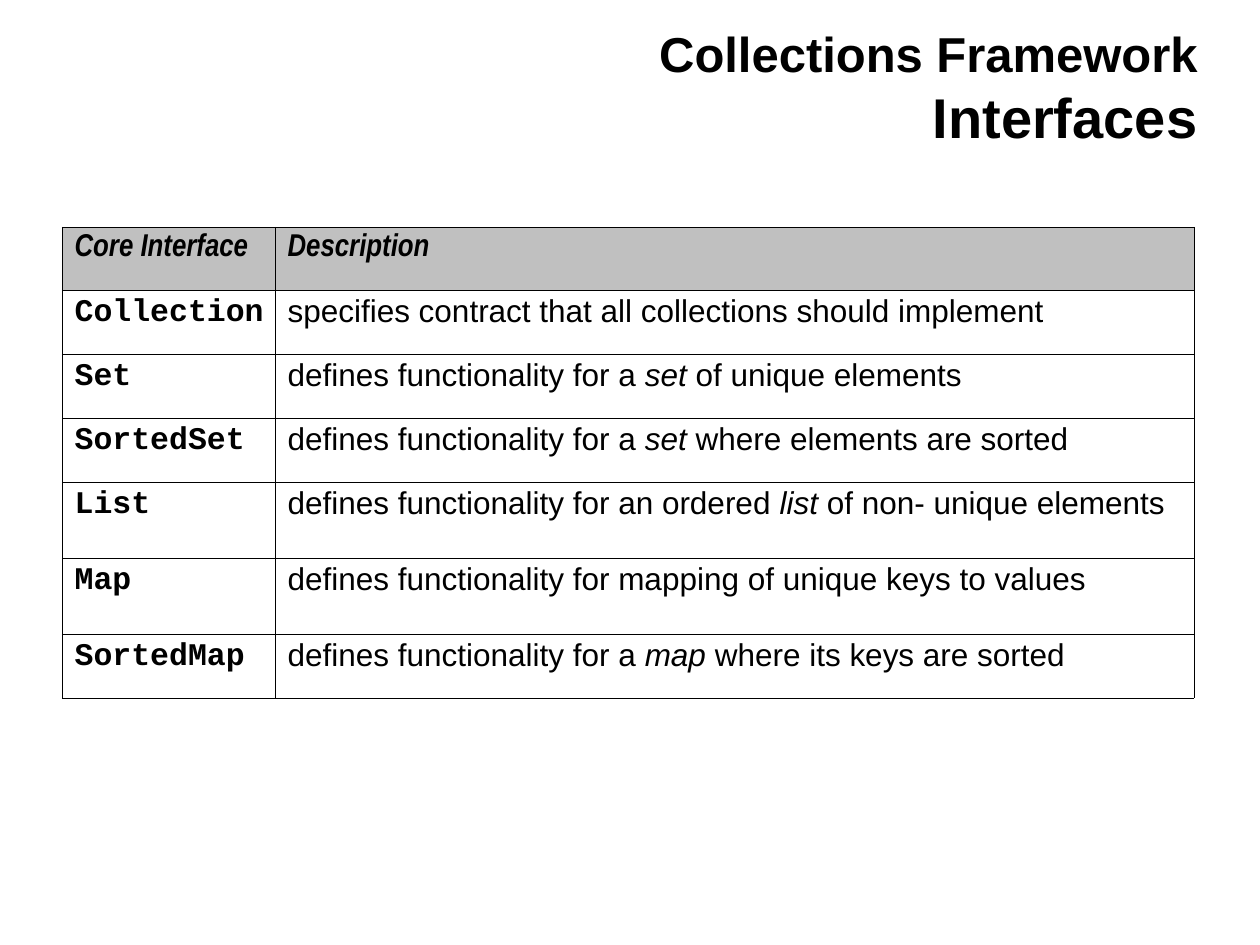
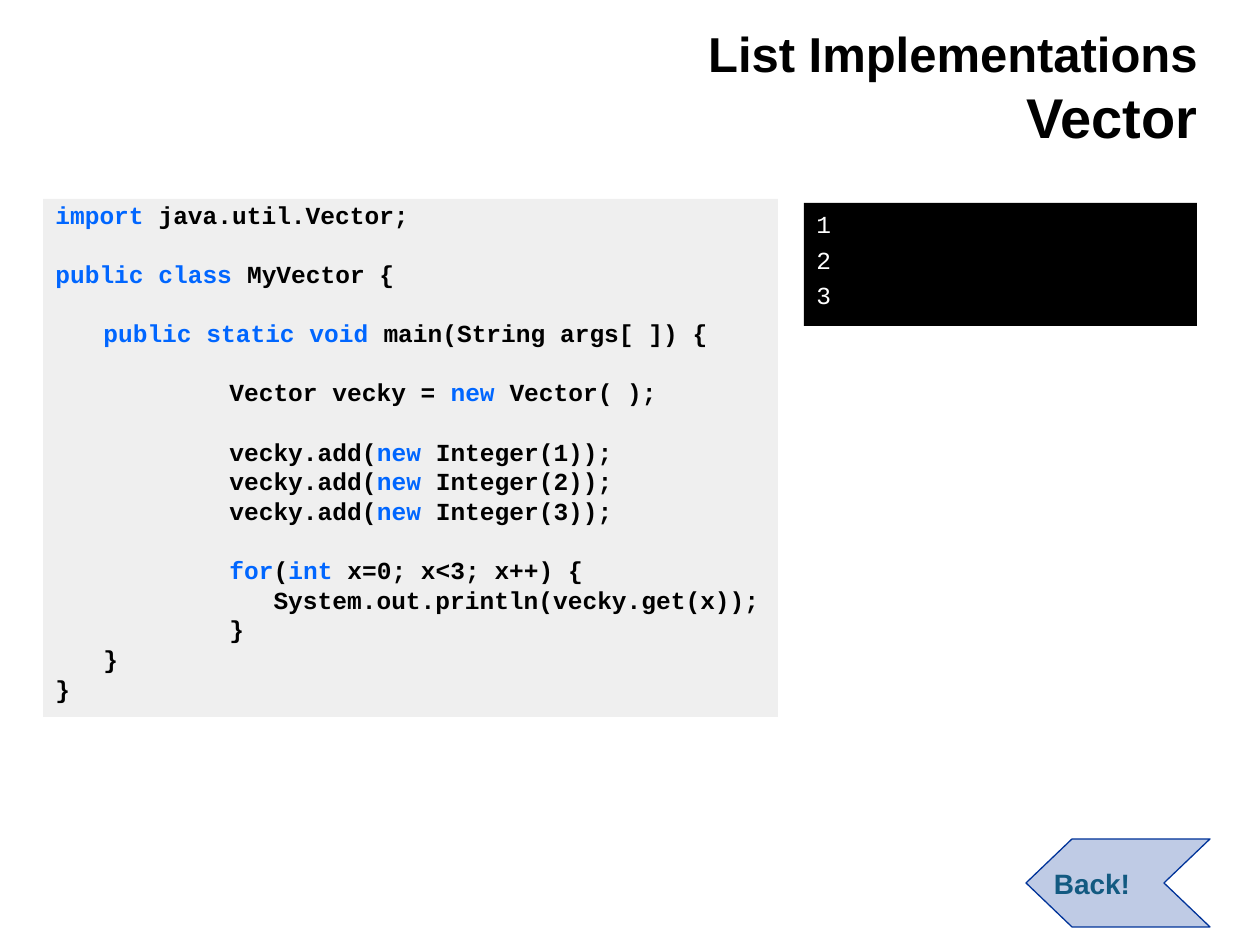
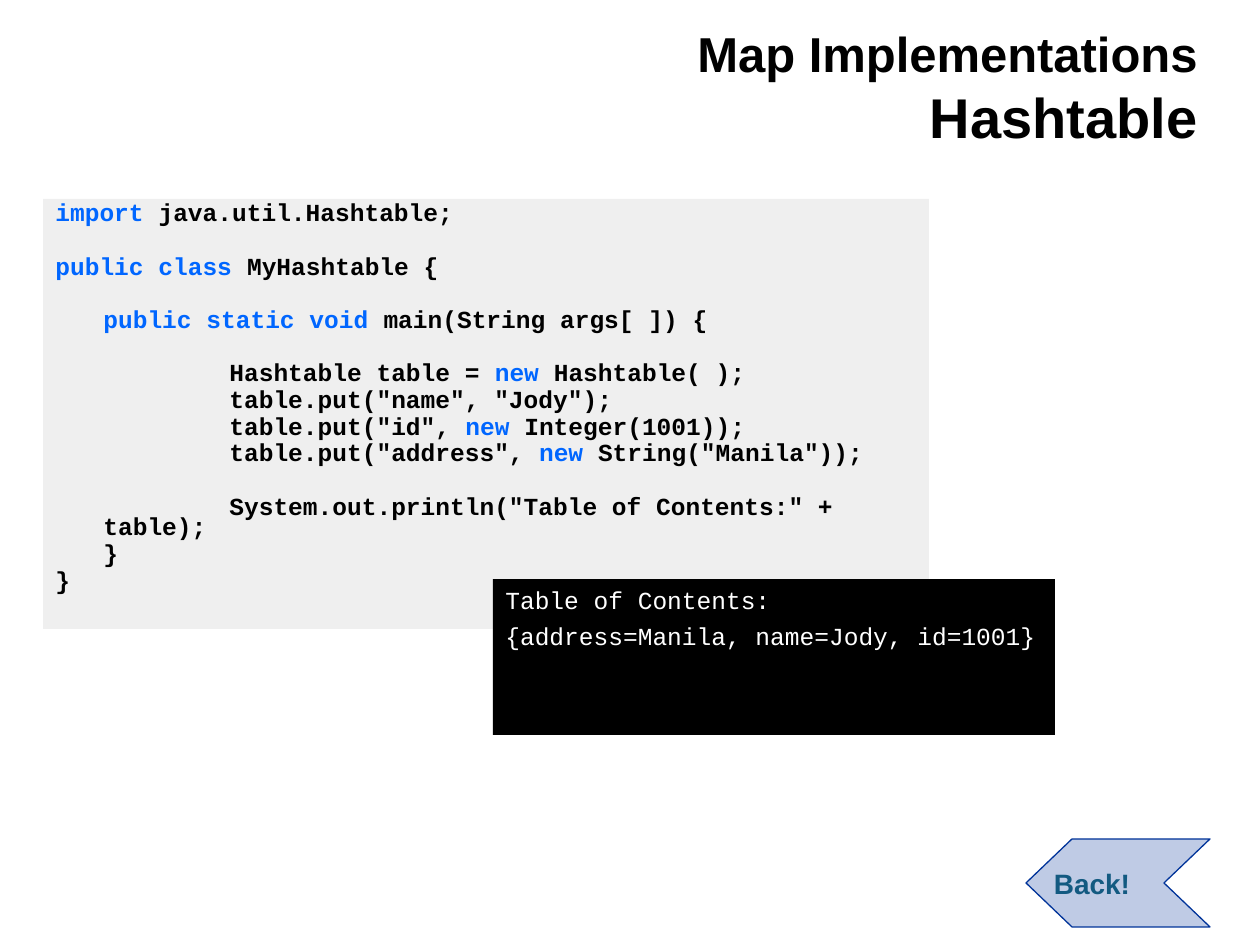
from lxml import etree
from pptx import Presentation
from pptx.dml.color import RGBColor
from pptx.enum.shapes import MSO_SHAPE
from pptx.enum.text import MSO_ANCHOR, PP_ALIGN
from pptx.oxml.ns import qn
from pptx.util import Pt

RECTANGLE = MSO_SHAPE.RECTANGLE
TOP, MIDDLE, BOTTOM = MSO_ANCHOR.TOP, MSO_ANCHOR.MIDDLE, MSO_ANCHOR.BOTTOM
LEFT, RIGHT = PP_ALIGN.LEFT, PP_ALIGN.RIGHT

BLACK = RGBColor(0x00, 0x00, 0x00)
WHITE = RGBColor(0xFF, 0xFF, 0xFF)
GRAY = RGBColor(0xC0, 0xC0, 0xC0)
KEYWORD_BLUE = RGBColor(0x00, 0x66, 0xFF)
ARROW_BLUE = RGBColor(0x00, 0x33, 0x99)
BACK_TEAL = RGBColor(0x13, 0x5A, 0x81)

SANS, NARROW, MONO = "Arial", "Arial Narrow", "Courier New"
PX_PER_INCH = 126
CODE_SIZE = 14
CODE_GAP = 3.5
CODE_LINE = 16.8  # full line height of the code font, in points
HANGING = 48
DEPTH_INDENTS = (-HANGING, 0, 126)  # first-line indent by nesting depth

# Asterisks enclose the words in italics
INTERFACES = [
    ("Core Interface", "Description"),
    ("Collection", "specifies contract that all collections should implement"),
    ("Set", "defines functionality for a *set* of unique elements"),
    ("SortedSet", "defines functionality for a *set* where elements are sorted"),
    ("List", "defines functionality for an ordered *list* of non- unique elements"),
    ("Map", "defines functionality for mapping of unique keys to values"),
    ("SortedMap", "defines functionality for a *map *where its keys are sorted"),
]
COLUMN_WIDTHS = (213, 919)
ROW_HEIGHTS = (63, 64, 64, 64, 76, 76, 64)

# Tabs give the nesting depth, asterisks enclose the keywords,
# and an empty line opens a gap
VECTOR_CODE = [
    "*import* java.util.Vector;",
    "",
    "*public class* MyVector {",
    "",
    "\t*public static void* main(String args[ ]) {",
    "",
    "\t\tVector vecky = *new* Vector( );",
    "",
    "\t\tvecky.add(*new* Integer(1));",
    "\t\tvecky.add(*new* Integer(2));",
    "\t\tvecky.add(*new* Integer(3));",
    "",
    "\t\t*for*(*int *x=0; x<3; x++) {",
    "\t\t   System.out.println(vecky.get(x));",
    "\t\t}",
    "\t}",
    "}",
]
HASHTABLE_CODE = [
    "*import* java.util.Hashtable;",
    "",
    "*public class* MyHashtable {",
    "",
    "\t*public static void* main(String args[ ]) {",
    "",
    "\t\tHashtable table = *new *Hashtable( );",
    '\t\ttable.put("name", "Jody");',
    '\t\ttable.put("id", *new* Integer(1001));',
    '\t\ttable.put("address", *new* String("Manila"));',
    "",
    '\t\tSystem.out.println("Table of Contents:" + table);',
    "\t}",
    "}",
]


def px(length):
    return round(length * 914400 / PX_PER_INCH)


def style(span, size, name, color, bold=False, italic=False):
    font = span.font
    font.size, font.name = Pt(size), name
    font.bold, font.italic = bold, italic
    font.color.rgb = color


def add_spans(para, marked):
    """Add runs to a paragraph; yield each with whether it was marked."""
    for index, part in enumerate(marked.split("*")):
        if part:
            span = para.add_run()
            span.text = part
            yield span, index % 2 == 1


def make_translucent(shape, percent):
    color = shape.element.spPr.find(qn("a:solidFill"))[0]
    etree.SubElement(color, qn("a:alpha"), val=str(percent * 1000))


def indent_paragraph(para, depth=0):
    properties = para._p.get_or_add_pPr()
    properties.set("marL", str(px(HANGING)))
    properties.set("indent", str(px(DEPTH_INDENTS[depth])))


def add_title(slide, topic, subject):
    box = slide.shapes.add_textbox(px(88), px(5), px(1122), px(151))
    frame = box.text_frame
    frame.word_wrap = True
    frame.vertical_anchor = BOTTOM
    frame.text = f"{topic}\v{subject}"
    para = frame.paragraphs[0]
    para.alignment = RIGHT
    for span, size in zip(para.runs, (28, 32)):
        style(span, size, SANS, BLACK, bold=True)


def add_panel(slide, left, top, width, height, color):
    panel = slide.shapes.add_shape(RECTANGLE, px(left), px(top), px(width), px(height))
    panel.shadow.inherit = False
    panel.fill.solid()
    panel.fill.fore_color.rgb = color
    panel.line.fill.background()
    panel.text_frame.word_wrap = True
    panel.text_frame.vertical_anchor = TOP
    return panel


def add_code(slide, lines, width, height, spacing):
    panel = add_panel(slide, 43, 199, width, height, GRAY)
    make_translucent(panel, 25)
    frame = panel.text_frame
    para = frame.paragraphs[0]
    gap = 0
    for index, line in enumerate(lines):
        if not line:
            gap += CODE_LINE * spacing + CODE_GAP
            continue
        if index:
            para = frame.add_paragraph()
        indent_paragraph(para, line.count("\t"))
        para.alignment = LEFT
        para.line_spacing = spacing
        para.space_before = Pt(gap)
        for span, keyword in add_spans(para, line.lstrip("\t")):
            style(span, CODE_SIZE, MONO, KEYWORD_BLUE if keyword else BLACK, bold=True)
        gap = CODE_GAP


def add_console(slide, lines, left, top, width, height):
    frame = add_panel(slide, left, top, width, height, BLACK).text_frame
    frame.text = "\n".join(lines)
    for index, para in enumerate(frame.paragraphs):
        indent_paragraph(para)
        para.alignment = LEFT
        para.space_before = Pt(CODE_GAP if index else 0)
        style(para.runs[0], CODE_SIZE, MONO, WHITE)


def add_back_arrow(slide):
    builder = slide.shapes.build_freeform(1026, 883, scale=px(1000) / 1000)
    builder.add_line_segments(
        [(1072, 839), (1210, 839), (1164, 883), (1210, 927), (1072, 927)], close=True)
    arrow = builder.convert_to_shape()
    arrow.shadow.inherit = False
    arrow.fill.solid()
    arrow.fill.fore_color.rgb = ARROW_BLUE
    make_translucent(arrow, 25)
    arrow.line.color.rgb = ARROW_BLUE
    arrow.line.width = Pt(0.75)
    frame = arrow.text_frame
    frame.word_wrap = True
    frame.vertical_anchor = MIDDLE
    frame.margin_left = px(28)
    frame.text = "Back!"
    para = frame.paragraphs[0]
    para.alignment = LEFT
    style(para.runs[0], 16, SANS, BACK_TEAL, bold=True)


def add_borders(cell):
    properties = cell._tc.get_or_add_tcPr()
    for index, side in enumerate(("lnL", "lnR", "lnT", "lnB")):
        line = etree.Element(qn(f"a:{side}"), w=str(Pt(0.23)))
        fill = etree.SubElement(line, qn("a:solidFill"))
        etree.SubElement(fill, qn("a:srgbClr"), val=str(BLACK))
        properties.insert(index, line)


def fill_cell(cell, text, is_header, is_name):
    if is_header:
        cell.fill.solid()
        cell.fill.fore_color.rgb = GRAY
        name, spacing = NARROW, 0.97
    else:
        cell.fill.background()
        name, spacing = (MONO, 0.89) if is_name else (SANS, 0.93)
    add_borders(cell)
    cell.margin_right = px(8)
    para = cell.text_frame.paragraphs[0]
    para.line_spacing = spacing
    for span, marked in add_spans(para, text):
        style(span, 18, name, BLACK, bold=is_header or is_name,
              italic=is_header or marked)


def add_interface_table(slide):
    table = slide.shapes.add_table(
        len(INTERFACES), len(COLUMN_WIDTHS), px(62), px(227),
        px(sum(COLUMN_WIDTHS)), px(sum(ROW_HEIGHTS))).table
    table.first_row = table.horz_banding = False
    for column, width in zip(table.columns, COLUMN_WIDTHS):
        column.width = px(width)
    for row_index, (row, texts) in enumerate(zip(table.rows, INTERFACES)):
        row.height = px(ROW_HEIGHTS[row_index])
        for column_index, text in enumerate(texts):
            fill_cell(row.cells[column_index], text, row_index == 0, column_index == 0)


def add_slide(deck, topic, subject):
    slide = deck.slides.add_slide(deck.slide_layouts[6])
    add_title(slide, topic, subject)
    return slide


def main():
    deck = Presentation()
    deck.slide_width, deck.slide_height = px(1260), px(945)

    # Interfaces
    slide = add_slide(deck, "Collections Framework", "Interfaces")
    add_interface_table(slide)

    # Vector
    slide = add_slide(deck, "List Implementations", "Vector")
    add_code(slide, VECTOR_CODE, 735, 518, 0.8)
    add_back_arrow(slide)
    add_console(slide, ["1", "2", "3"], 804, 203, 393, 123)

    # Hashtable
    slide = add_slide(deck, "Map Implementations", "Hashtable")
    add_code(slide, HASHTABLE_CODE, 886, 430, 0.7)
    add_back_arrow(slide)
    add_console(slide, ["Table of Contents:", "{address=Manila, name=Jody, id=1001}"],
                493, 579, 562, 156)

    deck.save("out.pptx")


if __name__ == "__main__":
    main()
